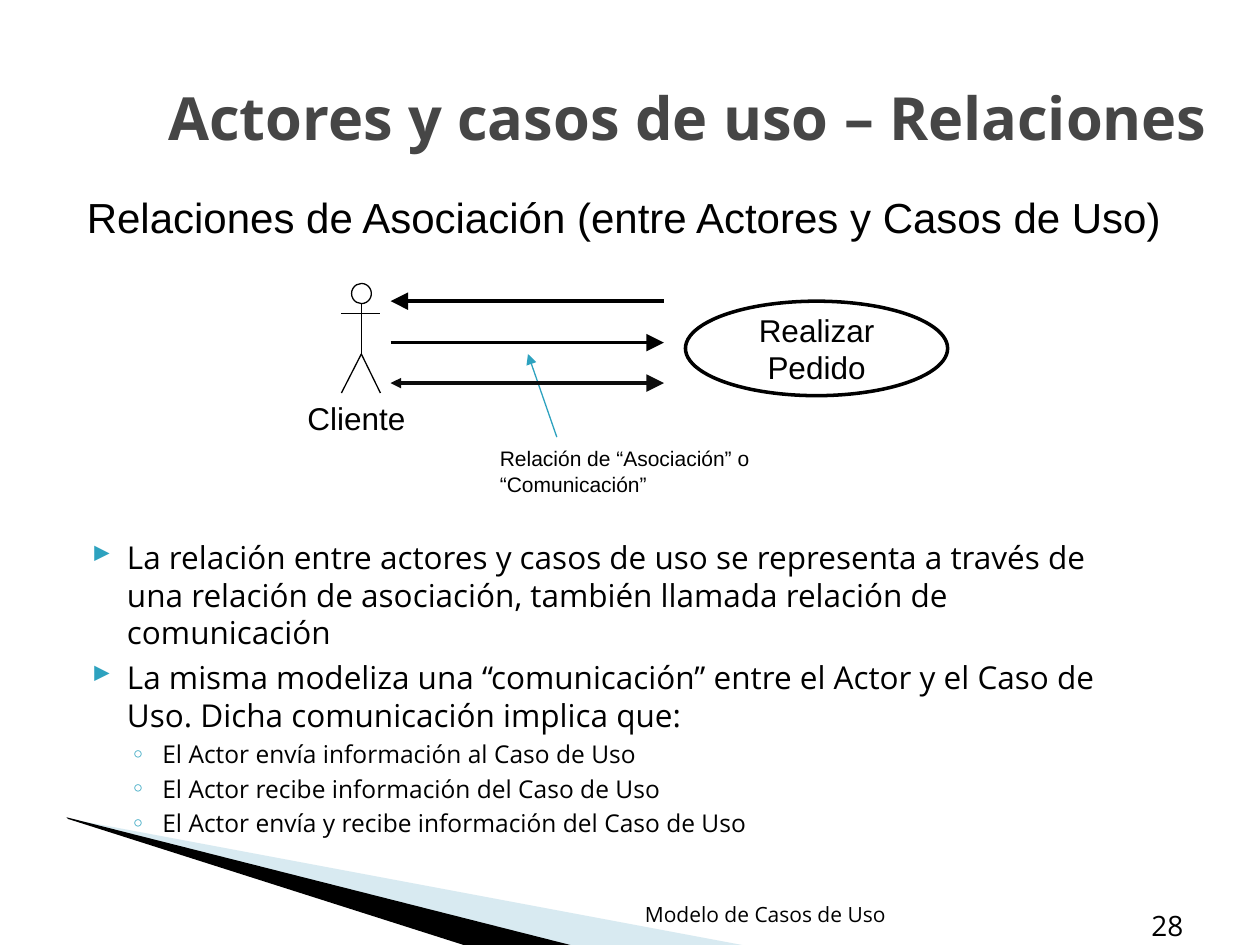
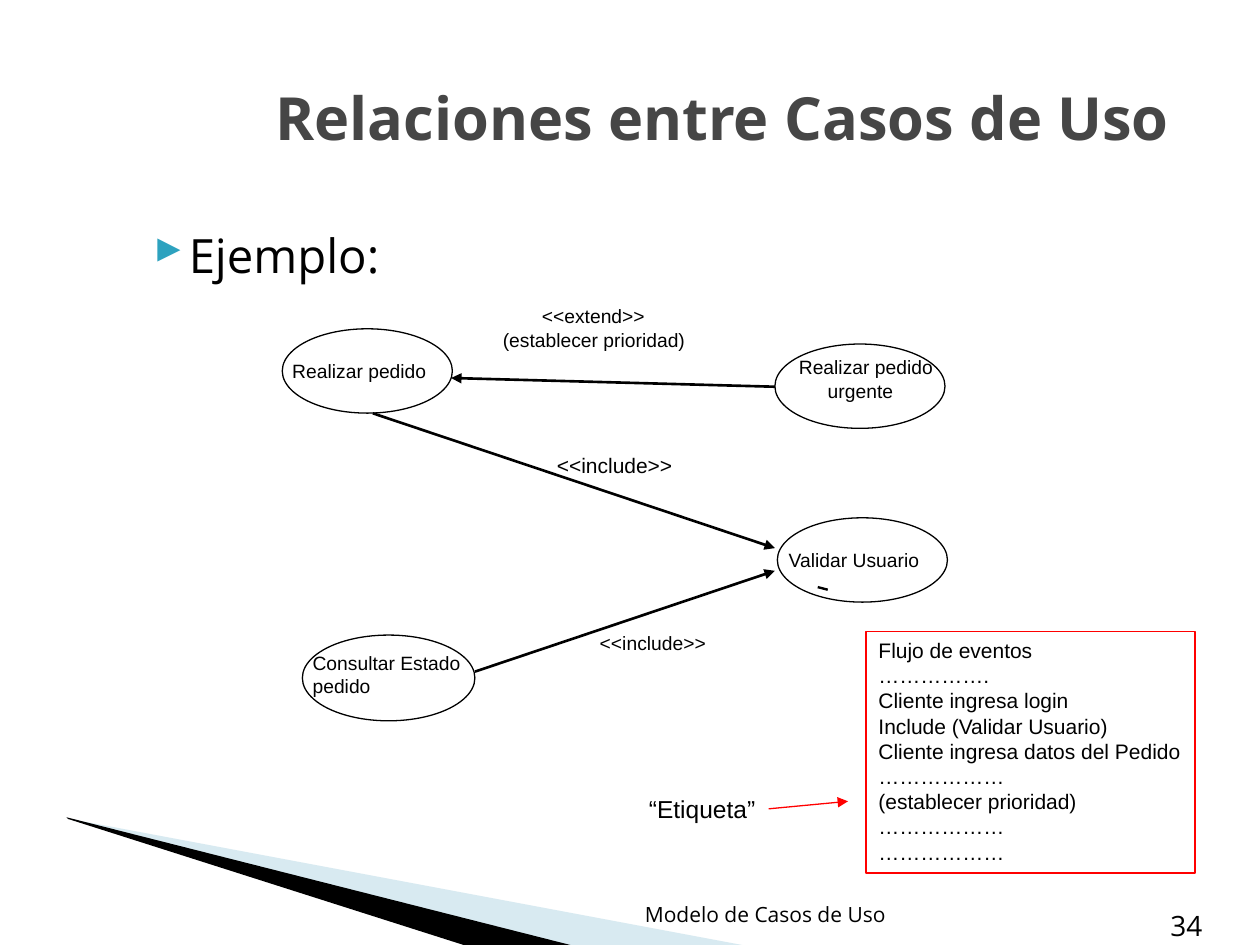
"""Builds two slides on use case relationships: actor associations and an include/extend example."""
from lxml.etree import SubElement
from pptx import Presentation
from pptx.dml.color import RGBColor
from pptx.enum.shapes import MSO_CONNECTOR, MSO_SHAPE
from pptx.enum.text import MSO_ANCHOR, PP_ALIGN
from pptx.oxml.ns import qn
from pptx.util import Pt

COLORS = {
    "black": "000000", "near_black": "0D0D0D", "white": "FFFFFF", "title": "464646",
    "accent": "2DA2BF", "band": "9FCBDC", "red": "FF0000",
}
RGB = {name: RGBColor.from_string(value) for name, value in COLORS.items()}
HEADING_FONT = "Open Sans"
DIAGRAM_FONT = "Arial"
BULLETS = [
    ("}", {"typeface": "Wingdings 3", "charset": "2"}, 28.8, -20.2),
    ("◦", {"typeface": "Verdana"}, 49, -18),
]


def write(shape, lines, size, font=DIAGRAM_FONT, color="black", bold=False,
          align=PP_ALIGN.LEFT, anchor=MSO_ANCHOR.TOP, inset=(7.2, 3.6), wrap=True):
    frame = shape.text_frame
    frame.word_wrap = wrap
    frame.vertical_anchor = anchor
    frame.margin_left = frame.margin_right = Pt(inset[0])
    frame.margin_top = frame.margin_bottom = Pt(inset[1])
    for index, line in enumerate(lines):
        paragraph = frame.paragraphs[0] if index == 0 else frame.add_paragraph()
        paragraph.alignment = align
        run = paragraph.add_run()
        run.text = line
        run.font.size = Pt(size)
        run.font.name = font
        run.font.bold = bold
        run.font.color.rgb = RGB[color]
    return frame.paragraphs


def connect(slide, start, end, width, color="black", head=None, tail=None):
    line = slide.shapes.add_connector(MSO_CONNECTOR.STRAIGHT, *map(Pt, start + end))
    line.line.width = Pt(width)
    line.line.color.rgb = RGB[color]
    outline = line.line._get_or_add_ln()
    for tag, extent in (("a:headEnd", head), ("a:tailEnd", tail)):
        if extent:
            SubElement(outline, qn(tag), type="triangle", w=extent, len=extent)
    SubElement(line._element.spPr, qn("a:effectLst"))


deck = Presentation()
deck.slide_width, deck.slide_height = Pt(720), Pt(540)

pages = [
    ("Actores y casos de uso – Relaciones ", 669.6, "28", 683.3,
     (36.7, 303.8, 612, 176.4),
     [("La relación entre actores y casos de uso se representa a través de una relación "
       "de asociación, también llamada relación de comunicación", 0, 18),
      ("La misma modeliza una “comunicación” entre el Actor y el Caso de Uso. "
       "Dicha comunicación implica que:", 0, 18),
      ("El Actor envía información al Caso de Uso", 1, 14),
      ("El Actor recibe información del Caso de Uso", 1, 14),
      ("El Actor envía y recibe información del Caso de Uso", 1, 14)]),
    ("Relaciones entre Casos de Uso ", 648, "34", 694.1,
     (72, 126, 612, 41.8), [("Ejemplo:", 0, 27)]),
]
bands = [
    ("band", 40, [(39.6, 468.4), (424.5, 540), (325, 540), (39.6, 468)]),
    ("black", 100, [(38.2, 467.3), (326, 540), (265, 540), (38.9, 468)]),
]

slides = []
for title, title_width, number, number_right, body_box, points in pages:
    slide = deck.slides.add_slide(deck.slide_layouts[6])
    slides.append(slide)
    for color, opacity, corners in bands:
        outline = slide.shapes.build_freeform(*corners[0], scale=Pt(1))
        outline.add_line_segments(corners[1:], close=True)
        band = outline.convert_to_shape()
        band.shadow.inherit = False
        band.line.fill.background()
        band.fill.solid()
        band.fill.fore_color.rgb = RGB[color]
        shade = band._element.spPr.find(qn("a:solidFill"))[0]
        SubElement(shade, qn("a:alpha"), val=str(opacity * 1000))

    page_box = slide.shapes.add_textbox(Pt(number_right - 51), Pt(513), Pt(51), Pt(28.8))
    write(page_box, [number], 16, HEADING_FONT, align=PP_ALIGN.RIGHT, anchor=MSO_ANCHOR.BOTTOM)
    footer = slide.shapes.add_textbox(Pt(344.9), Pt(504.3), Pt(185), Pt(28.8))
    write(footer, ["Modelo de Casos de Uso"], 12, HEADING_FONT,
          align=PP_ALIGN.CENTER, anchor=MSO_ANCHOR.BOTTOM)
    heading = slide.shapes.add_textbox(Pt(36), Pt(21.6), Pt(title_width), Pt(90))
    write(heading, [title], 34, HEADING_FONT, "title", True, PP_ALIGN.RIGHT, MSO_ANCHOR.MIDDLE)

    body = slide.shapes.add_textbox(*map(Pt, body_box))
    paragraphs = write(body, [text for text, level, size in points], 18, HEADING_FONT)
    for index, (paragraph, (text, level, size)) in enumerate(zip(paragraphs, points)):
        mark, mark_font, margin, indent = BULLETS[level]
        paragraph.level = level
        paragraph.space_before = Pt((4 - level) if index else 0)
        paragraph.runs[0].font.size = Pt(size)
        properties = paragraph._p.get_or_add_pPr()
        properties.set("marL", str(Pt(margin)))
        properties.set("indent", str(Pt(indent)))
        bullet_color = SubElement(properties, qn("a:buClr"))
        SubElement(bullet_color, qn("a:srgbClr"), val=COLORS["accent"])
        SubElement(properties, qn("a:buFont"), mark_font)
        SubElement(properties, qn("a:buChar"), char=mark)

association, example = slides

ellipses = [
    (association, (200.9, 162, 11.3, 11.5), 0.75),
    (association, (391.7, 172.1, 149.8, 54), 2),
    (example, (161.3, 187.9, 97.2, 48.2), 0.75),
    (example, (442.8, 196.6, 97.2, 48.2), 0.75),
    (example, (444.2, 295.9, 97.2, 48.2), 0.75),
    (example, (172.8, 362.9, 98.6, 49), 0.75),
]
drawn = []
for slide, box, width in ellipses:
    ellipse = slide.shapes.add_shape(MSO_SHAPE.OVAL, *map(Pt, box))
    ellipse.shadow.inherit = False
    ellipse.fill.solid()
    ellipse.fill.fore_color.rgb = RGB["white"]
    ellipse.line.color.rgb = RGB["black"]
    ellipse.line.width = Pt(width)
    drawn.append(ellipse)
write(drawn[1], ["Realizar Pedido"], 18, align=PP_ALIGN.CENTER, anchor=MSO_ANCHOR.MIDDLE)

neck, hip = (206.5, 173.5), (206.5, 202.3)
for start, end in [(neck, hip), ((195.1, 179.3), (217.4, 179.3)),
                   (hip, (195.1, 224.6)), (hip, (217.4, 224.6))]:
    connect(association, start, end, 0.75)

actor_side, case_side = 223.2, 379.4
connect(association, (318.2, 249.8), (301.7, 202.3), 0.75, "accent", tail="med")
connect(association, (case_side, 172.1), (actor_side, 172.1), 2, tail="lg")
connect(association, (actor_side, 195.8), (case_side, 195.8), 2, tail="lg")
connect(association, (actor_side, 218.9), (case_side, 218.9), 2, "near_black", "med", "lg")

for box, lines, size in [
    ((42.5, 105.8, 634.3, 36), ["Relaciones de Asociación (entre Actores y Casos de Uso)"], 24),
    ((278.6, 251.3, 160, 36.7), ["Relación de “Asociación” o", "“Comunicación”"], 12),
]:
    write(association.shapes.add_textbox(*map(Pt, box)), lines, size)

labels = [
    (association, 175.7, 228.2, ["Cliente"], 18),
    (example, 167, 205.2, ["Realizar pedido"], 11),
    (example, 456.5, 202.9, ["Realizar pedido"], 11),
    (example, 473, 216.7, ["urgente"], 11),
    (example, 450.7, 313, ["Validar Usuario"], 11),
    (example, 309.6, 173.9, ["<<extend>>"], 11),
    (example, 287.3, 187.5, ["(establecer prioridad)"], 11),
    (example, 318.2, 258.5, ["<<include>>"], 12),
    (example, 178.6, 372.2, ["Consultar Estado", "pedido"], 11),
    (example, 342.7, 360.7, ["<<include>>"], 11),
    (example, 370.8, 453.6, ["“Etiqueta”"], 14),
]
for slide, left, top, lines, size in labels:
    label = slide.shapes.add_textbox(Pt(left), Pt(top), Pt(120), Pt(size * 1.25 * len(lines)))
    write(label, lines, size, inset=(0, 0))

event_flow = example.shapes.add_shape(MSO_SHAPE.RECTANGLE, *map(Pt, (494.9, 360.7, 187.9, 138.2)))
event_flow.shadow.inherit = False
event_flow.fill.background()
event_flow.line.color.rgb = RGB["red"]
event_flow.line.width = Pt(0.75)
write(event_flow, [
    "Flujo de eventos", "…………….", "Cliente ingresa login", "Include (Validar Usuario)",
    "Cliente ingresa datos del Pedido", "………………", "(establecer prioridad)",
    "………………", "………………",
], 12, wrap=False)

for start, end in [((442.8, 221), (257.8, 216)), ((271.4, 383.8), (442.8, 326.2)),
                   ((213.1, 236.2), (442.8, 313.2))]:
    connect(example, start, end, 1.5, tail="med")
connect(example, (467.3, 335.5), (473, 337), 1.37)
connect(example, (439.2, 462.2), (484.6, 457.9), 0.75, "red", tail="med")

deck.save("out.pptx")
